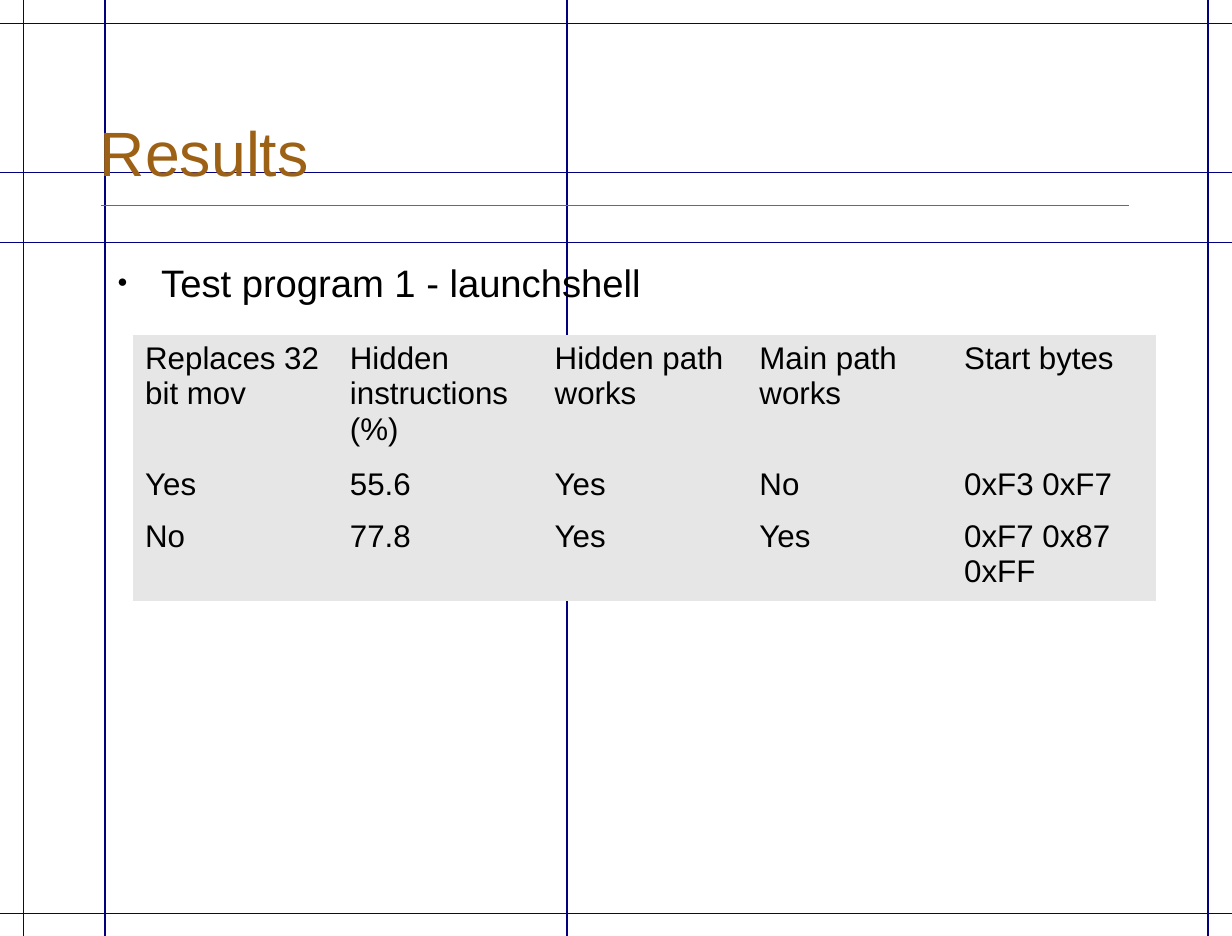
"""Build the Results slide with its guide lines and test table."""
from dataclasses import dataclass

from pptx import Presentation
from pptx.dml.color import RGBColor
from pptx.enum.shapes import MSO_CONNECTOR
from pptx.enum.text import MSO_ANCHOR
from pptx.oxml.ns import qn
from pptx.oxml.xmlchemy import OxmlElement
from pptx.util import Inches, Pt

STRAIGHT = MSO_CONNECTOR.STRAIGHT
TOP, BOTTOM = MSO_ANCHOR.TOP, MSO_ANCHOR.BOTTOM
PLAIN_TABLE = "{2D5ABB26-0587-4C30-8999-92F81FD0307C}"

CM_PER_INCH = 2.54
WIDTH, HEIGHT = 25 / CM_PER_INCH, 19 / CM_PER_INCH
GUIDE_ROWS = (1.94, 0.19, 1.38, 7.3)
GUIDE_COLUMNS = (0.19, 9.65, 4.53, 0.84)
GUIDE_LEFT, GUIDE_RIGHT = -0.13, 9.96
GUIDE_TOP, GUIDE_BOTTOM = -0.07, 7.57
TABLE_WIDTH = 8.18
ROW_HEIGHTS = (0.99, 0.42, 0.7)
RESULTS = (
    ("Replaces 32 bit mov", "Hidden instructions (%)", "Hidden path works",
     "Main path works", "Start bytes"),
    ("Yes", "55.6", "Yes", "No", "0xF3 0xF7"),
    ("No", "77.8", "Yes", "Yes", "0xF7 0x87 0xFF"),
)


@dataclass(frozen=True)
class Theme:
    """Colours, font and type sizes of the slide."""
    guide: RGBColor = RGBColor(0x00, 0x00, 0x80)
    accent: RGBColor = RGBColor(0x9C, 0x61, 0x14)
    ink: RGBColor = RGBColor(0x00, 0x00, 0x00)
    cell: RGBColor = RGBColor(0xE6, 0xE6, 0xE6)
    font: str = "Arial"
    title: int = 36
    body: int = 22
    table: int = 18
    line: float = 0.75


THEME = Theme()


def add_line(page, start, end, color):
    """Draw a thin straight line without a shadow."""
    line = page.shapes.add_connector(STRAIGHT, *map(Inches, start + end))
    line.line.color.rgb = color
    line.line.width = Pt(THEME.line)
    line._element.spPr.append(OxmlElement("a:effectLst"))


def write(frame, text, size, color):
    """Put one formatted span in a text frame and return its paragraph."""
    para = frame.paragraphs[0]
    span = para.add_run()
    span.text = text
    span.font.color.rgb = color
    for name, value in {"name": THEME.font, "size": Pt(size)}.items():
        setattr(span.font, name, value)
    return para


def add_text(page, area, text, size, color, anchor=TOP):
    """Add a wrapping text box and return its paragraph."""
    frame = page.shapes.add_textbox(*map(Inches, area)).text_frame
    for name, value in {"word_wrap": True, "vertical_anchor": anchor}.items():
        setattr(frame, name, value)
    return write(frame, text, size, color)


def add_bullet(para, margin, indent):
    """Give a paragraph a small round bullet and a hanging indent."""
    properties = para._p.get_or_add_pPr()
    properties.set("marL", str(Inches(margin)))
    properties.set("indent", str(Inches(indent)))
    for tag, name, value in (("a:buSzPct", "val", "45000"),
                             ("a:buFont", "typeface", THEME.font),
                             ("a:buChar", "char", "●")):
        mark = OxmlElement(tag)
        mark.set(name, value)
        properties.append(mark)


def add_results_table(page, left, top):
    """Add the table of results on a plain grey ground."""
    columns = len(RESULTS[0])
    table = page.shapes.add_table(
        len(RESULTS), columns, Inches(left), Inches(top),
        Inches(TABLE_WIDTH), Inches(sum(ROW_HEIGHTS))).table
    for name in ("first_row", "horz_banding"):
        setattr(table, name, False)
    table._tbl.tblPr.find(qn("a:tableStyleId")).text = PLAIN_TABLE
    for column in table.columns:
        column.width = Inches(TABLE_WIDTH / columns)
    for row, height, values in zip(table.rows, ROW_HEIGHTS, RESULTS):
        row.height = Inches(height)
        for cell, value in zip(row.cells, values):
            cell.fill.solid()
            cell.fill.fore_color.rgb = THEME.cell
            write(cell.text_frame, value, THEME.table, THEME.ink)


def main():
    """Build and save the slide."""
    deck = Presentation()
    deck.slide_width, deck.slide_height = Inches(WIDTH), Inches(HEIGHT)
    page = deck.slides.add_slide(deck.slide_layouts[6])
    for y in GUIDE_ROWS:
        add_line(page, (GUIDE_LEFT, y), (GUIDE_RIGHT, y), THEME.guide)
    for x in GUIDE_COLUMNS:
        add_line(page, (x, GUIDE_TOP), (x, GUIDE_BOTTOM), THEME.guide)
    add_line(page, (0.81, 1.64), (9.02, 1.64), THEME.accent)
    add_text(page, (0.7, 0.31, 8.32, 1.25), "Results",
             THEME.title, THEME.accent, BOTTOM)
    point = add_text(page, (0.72, 2.02, 8.3, 3.9),
                     "Test program 1 - launchshell", THEME.body, THEME.ink)
    add_bullet(point, 0.47, -0.35)
    add_results_table(page, 1.06, 2.68)
    deck.save("out.pptx")


if __name__ == "__main__":
    main()
